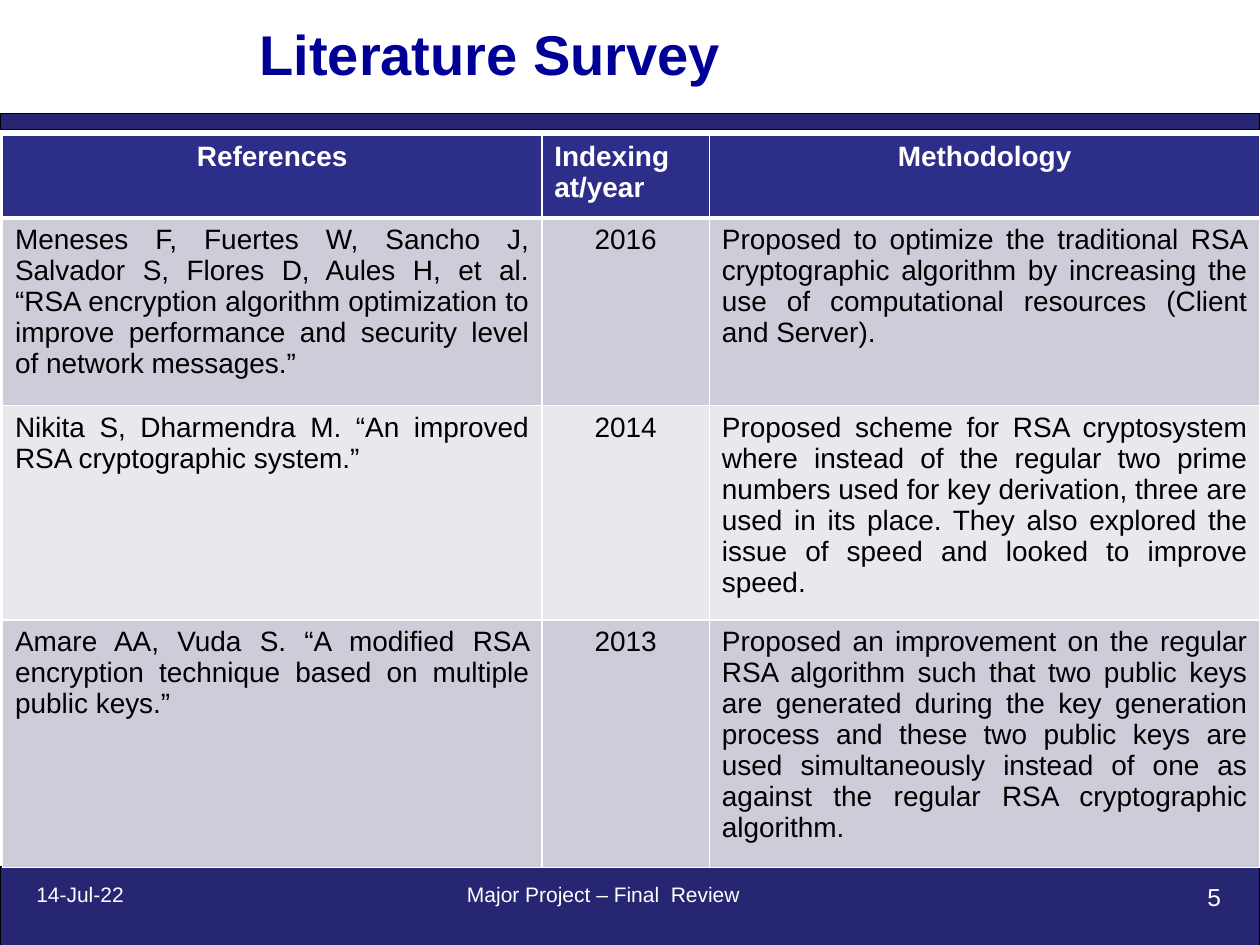
"""Build the literature survey slide on a grid of 100 columns by 75 rows."""
from dataclasses import dataclass

from pptx import Presentation
from pptx import util as u
from pptx.dml import color
from pptx.enum import shapes, text
from pptx.oxml import parse_xml
from pptx.oxml import ns

COLUMNS, ROWS = 100, 75
UNIT = u.Inches(0.1)
FONT = "Arial"
NAVY, HEADER, TITLE = "262673", "2D2D8A", "000097"
BANDS = ("CDCDDA", "E8E8ED")
WHITE, BLACK = "FFFFFF", "000000"
LEFT, CENTER = text.PP_ALIGN.LEFT, text.PP_ALIGN.CENTER
RIGHT, JUSTIFY = text.PP_ALIGN.RIGHT, text.PP_ALIGN.JUSTIFY
COLUMN_SPANS = (42.8, 13.3, 43.7)
ROW_SPANS = (6.6, 14.9, 16.7, 19.3)


@dataclass(frozen=True)
class Box:
    """A place on the grid."""
    column: float
    row: float
    width: float
    height: float

    def lengths(self) -> list[int]:
        """Return left, top, width and height as slide lengths."""
        return [round(part * UNIT) for part in
                (self.column, self.row, self.width, self.height)]


@dataclass(frozen=True)
class Style:
    """The look of a run and its paragraph."""
    size: float
    colour: str = WHITE
    align: text.PP_ALIGN = LEFT
    bold: bool = False


@dataclass(frozen=True)
class Label:
    """A piece of footer text."""
    wording: str
    box: Box
    style: Style


@dataclass(frozen=True)
class Study:
    """One row of the survey."""
    reference: str
    year: str
    method: str


BARS = (Box(0, 68.8, COLUMNS, 6.7), Box(0, 9, COLUMNS, 1.3))
LABELS = (
    Label("14-Jul-22", Box(1.9, 69.5, 13.3, 5.2), Style(12)),
    Label("5", Box(74.6, 69.5, 23.3, 5.2), Style(14, align=RIGHT)),
    Label("Major Project – Final  Review", Box(27.5, 69.5, 40.8, 5.2),
          Style(12, align=CENTER)),
)
HEADINGS = (("References", CENTER), ("Indexing at/year", JUSTIFY),
            ("Methodology", CENTER))
STUDIES = (
    Study("Meneses F, Fuertes W, Sancho J, Salvador S, Flores D, Aules H, "
          "et al. “RSA encryption algorithm optimization to improve "
          "performance and security level of network messages.”",
          "2016",
          "Proposed to optimize the traditional RSA cryptographic algorithm "
          "by increasing the use of computational resources (Client and "
          "Server)."),
    Study("Nikita S, Dharmendra M. “An improved RSA cryptographic system.”",
          "2014",
          "Proposed scheme for RSA cryptosystem where instead of the regular "
          "two prime numbers used for key derivation, three are used in its "
          "place. They also explored the issue of speed and looked to improve "
          "speed."),
    Study("Amare AA, Vuda S. “A modified RSA encryption technique based on "
          "multiple public keys.”",
          "2013",
          "Proposed an improvement on the regular RSA algorithm such that two "
          "public keys are generated during the key generation process and "
          "these two public keys are used simultaneously instead of one as "
          "against the regular RSA cryptographic algorithm."),
)


def paint(target, colour: str) -> None:
    """Give a fill one solid colour."""
    target.solid()
    target.fore_color.rgb = color.RGBColor.from_string(colour)


def write(frame, wording: str, style: Style) -> None:
    """Write one run into the first paragraph of a text frame."""
    frame.word_wrap = True
    paragraph = frame.paragraphs[0]
    paragraph.alignment = style.align
    run = paragraph.add_run()
    run.text = wording
    run.font.name = FONT
    run.font.size = u.Pt(style.size)
    run.font.bold = style.bold
    run.font.color.rgb = color.RGBColor.from_string(style.colour)


def draw_bar(slide, box: Box) -> None:
    """Draw a full-width navy bar."""
    shape = slide.shapes.add_shape(shapes.MSO_SHAPE.RECTANGLE, *box.lengths())
    shape.shadow.inherit = False
    paint(shape.fill, NAVY)
    paint(shape.line.fill, BLACK)
    shape.line.width = u.Pt(0.75)


def draw_title(slide, wording: str, box: Box) -> None:
    """Move and fill the title placeholder."""
    title = slide.shapes.title
    title.left, title.top, title.width, title.height = box.lengths()
    title.text_frame.vertical_anchor = text.MSO_ANCHOR.MIDDLE
    title.text_frame.auto_size = text.MSO_AUTO_SIZE.NONE
    write(title.text_frame, wording, Style(32, TITLE, CENTER, True))


def draw_label(slide, label: Label) -> None:
    """Draw one footer text box."""
    shape = slide.shapes.add_textbox(*label.box.lengths())
    write(shape.text_frame, label.wording, label.style)


def add_borders(cell, bottom: float, top: float) -> None:
    """Put white lines on the four sides of a cell."""
    properties = cell._tc.get_or_add_tcPr()
    widths = {"lnL": 1, "lnR": 1, "lnT": top, "lnB": bottom}
    for index, (side, width) in enumerate(widths.items()):
        properties.insert(index, parse_xml(
            f'<a:{side} {ns.nsdecls("a")} w="{u.Pt(width)}"><a:solidFill>'
            f'<a:srgbClr val="{WHITE}"/></a:solidFill></a:{side}>'))


def fill_cell(cell, wording: str, style: Style, fill: str,
              top: float = 1, bottom: float = 1) -> None:
    """Write, fill and border one cell."""
    write(cell.text_frame, wording, style)
    paint(cell.fill, fill)
    add_borders(cell, bottom, top)


def draw_survey(slide, column: float, row: float) -> None:
    """Draw the table of studies."""
    box = Box(column, row, sum(COLUMN_SPANS), sum(ROW_SPANS))
    table = slide.shapes.add_table(
        len(ROW_SPANS), len(COLUMN_SPANS), *box.lengths()).table
    for table_column, span in zip(table.columns, COLUMN_SPANS):
        table_column.width = round(span * UNIT)
    for table_row, span in zip(table.rows, ROW_SPANS):
        table_row.height = round(span * UNIT)
    for index, (heading, align) in enumerate(HEADINGS):
        fill_cell(table.cell(0, index), heading,
                  Style(16, WHITE, align, True), HEADER, bottom=3)
    for number, study in enumerate(STUDIES):
        entries = ((study.reference, JUSTIFY), (study.year, CENTER),
                   (study.method, JUSTIFY))
        for index, (wording, align) in enumerate(entries):
            fill_cell(table.cell(number + 1, index), wording,
                      Style(16, BLACK, align), BANDS[number % len(BANDS)],
                      top=1 if number else 3)


def main() -> None:
    """Build and save the presentation."""
    presentation = Presentation()
    presentation.slide_width = COLUMNS * UNIT
    presentation.slide_height = ROWS * UNIT
    slide = presentation.slides.add_slide(presentation.slide_layouts[5])
    for bar in BARS:
        draw_bar(slide, bar)
    draw_title(slide, "Literature Survey", Box(0.9, 0.6, 76, 7.2))
    for label in LABELS:
        draw_label(slide, label)
    draw_survey(slide, 0.2, 10.7)
    presentation.save("out.pptx")


if __name__ == "__main__":
    main()
